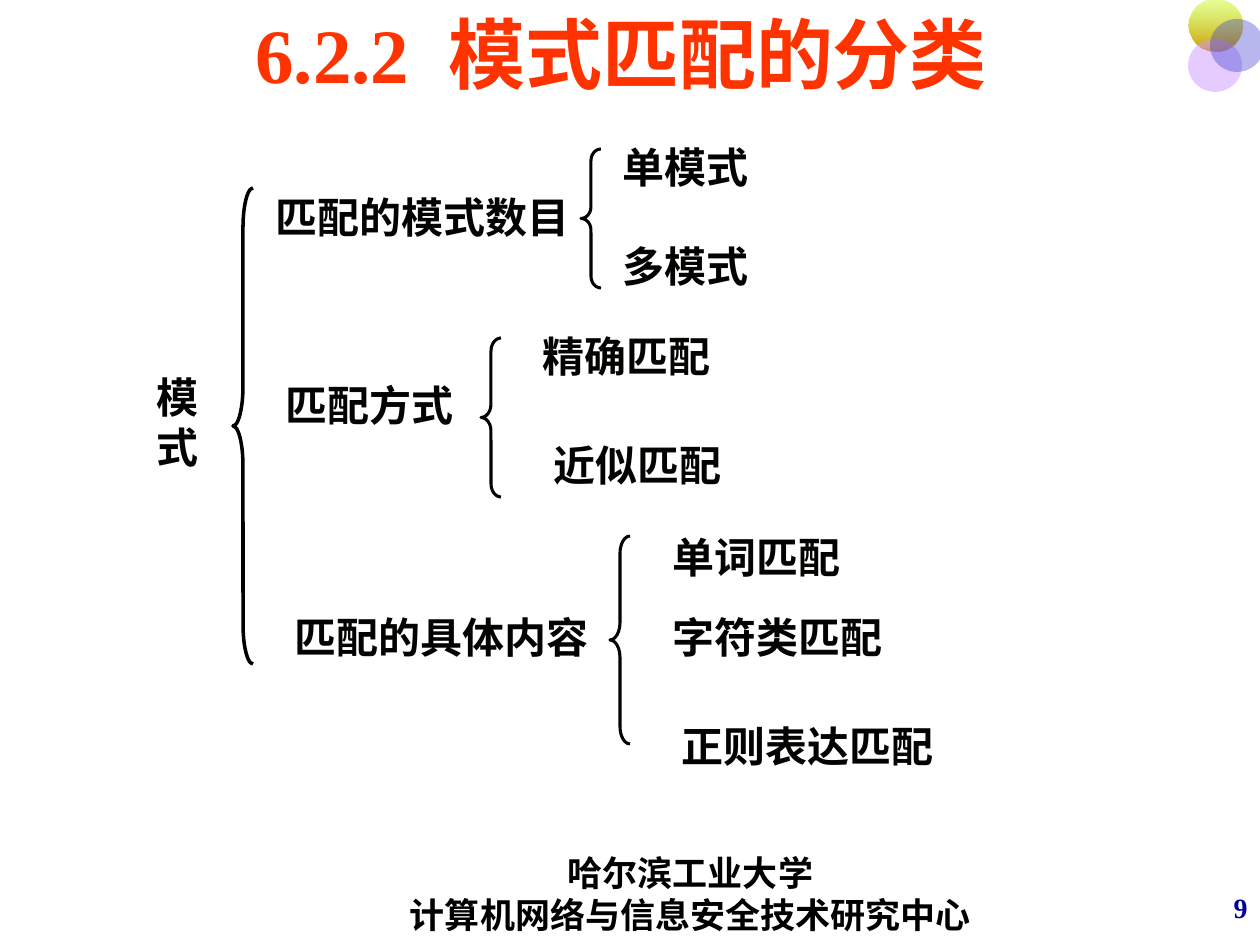
from lxml import etree
from pptx import Presentation
from pptx.dml.color import RGBColor
from pptx.enum.shapes import MSO_SHAPE
from pptx.enum.text import MSO_ANCHOR, PP_ALIGN
from pptx.oxml.ns import qn
from pptx.util import Emu, Pt

BRACE, OVAL = MSO_SHAPE.LEFT_BRACE, MSO_SHAPE.OVAL
TOP, MIDDLE = MSO_ANCHOR.TOP, MSO_ANCHOR.MIDDLE
LEFT, CENTER, RIGHT = PP_ALIGN.LEFT, PP_ALIGN.CENTER, PP_ALIGN.RIGHT

PX = 914400 / 126
COLORS = {
    "title": "FF3300", "text": "030301", "black": "000000", "number": "000099",
    "lime": "CCFF33", "gold": "CC9900", "lilac": "CC99FF", "blue": "3333CC",
}

# Content: positions and sizes in px
TITLE_NUMBER, TITLE_WORDS = "6.2.2", "模式匹配的分类"
TITLE_BOX = (64, 0, 1134, 106)
TITLE_GAP = 19  # width of one space in the title font
FOOTER = ["哈尔滨工业大学", "计算机网络与信息安全技术研究中心"]
FOOTER_BOX = (323, 849, 735, 89)
NUMBER_BOX = (1162, 876, 98, 63)

ROOT = ("模式", (144, 365, 69, 190))
ROOT_BRACE = (233, 188, 476)
LABEL_HEIGHT, LEAF_WIDTH, BRACE_WIDTH = 63, 297, 20
BRANCHES = [  # label (left, top, width), brace (left, top, height), leaves
    ("匹配的模式数目", (263, 185, 328), (581, 149, 139),
     [("单模式", 610, 135), ("多模式", 610, 234)]),
    ("匹配方式", (273, 373, 318), (481, 338, 159),
     [("精确匹配", 530, 324), ("近似匹配", 541, 433)]),
    ("匹配的具体内容", (282, 605, 358), (610, 536, 208),
     [("单词匹配", 660, 525), ("字符类匹配", 660, 605), ("正则表达匹配", 669, 714)]),
]

CIRCLE_SIZE = (54, 53)
CIRCLES = [  # left, top, colours, opacity of the first colour in percent
    (1188, -1, ("lime", "gold"), 50),
    (1188, 39, ("lilac",), 50),
    (1210, 19, ("blue",), 35),
]


def px(*values):
    return [Emu(round(value * PX)) for value in values]


def rgb(name):
    return RGBColor.from_string(COLORS[name])


def set_font(paragraph, size, name, color):
    font = paragraph.font
    font.size, font.name, font.bold = Pt(size), name, True
    font.color.rgb = rgb(color)


def add_text(slide, lines, box, size=24, name="Arial", color="text",
             align=LEFT, anchor=TOP, wrap=True):
    frame = slide.shapes.add_textbox(*px(*box)).text_frame
    frame.word_wrap, frame.vertical_anchor = wrap, anchor
    frame.text = "\n".join(lines)
    for paragraph in frame.paragraphs:
        paragraph.alignment = align
        set_font(paragraph, size, name, color)


def add_brace(slide, left, top, height, color="text", width=1.75):
    shape = slide.shapes.add_shape(BRACE, *px(left, top, BRACE_WIDTH, height))
    shape.adjustments[0] = height / 12 / BRACE_WIDTH
    shape.shadow.inherit = False
    shape.fill.background()
    shape.line.color.rgb = rgb(color)
    shape.line.width = Pt(width)


def add_circle(slide, left, top, colors, opacity):
    shape = slide.shapes.add_shape(OVAL, *px(left, top, *CIRCLE_SIZE))
    shape.shadow.inherit = False
    shape.line.fill.background()
    if len(colors) > 1:
        shape.fill.gradient()
        shape.fill.gradient_angle = 270
        for stop, color in zip(shape.fill.gradient_stops, colors):
            stop.color.rgb = rgb(color)
    else:
        shape.fill.solid()
        shape.fill.fore_color.rgb = rgb(colors[0])
    first_color = next(shape.element.spPr.iter(qn("a:srgbClr")))
    etree.SubElement(first_color, qn("a:alpha")).set("val", str(opacity * 1000))


def add_title(slide):
    title = slide.shapes.title
    title.left, title.top, title.width, title.height = px(*TITLE_BOX)
    frame = title.text_frame
    frame.vertical_anchor = MIDDLE
    frame.margin_right = frame.margin_left + px(TITLE_GAP)[0]
    paragraph = frame.paragraphs[0]
    paragraph.alignment = CENTER
    runs = [paragraph.add_run() for _ in range(3)]
    for run, text in zip(runs, (TITLE_NUMBER, " ", TITLE_WORDS)):
        run.text = text
    # Widen the single space by character spacing
    runs[1].font.size = Pt(44)
    runs[1].font._element.set("spc", "1100")
    set_font(paragraph, 44, "Times New Roman", "title")


def main():
    presentation = Presentation()
    presentation.slide_width, presentation.slide_height = px(1260, 945)
    slide = presentation.slides.add_slide(presentation.slide_layouts[5])

    # Page number, footer and corner ornament
    add_text(slide, ["9"], NUMBER_BOX, 16, "Times New Roman", "number", RIGHT, MIDDLE)
    add_text(slide, FOOTER, FOOTER_BOX, 20, "Times New Roman", "black",
             CENTER, MIDDLE, wrap=False)
    for circle in CIRCLES:
        add_circle(slide, *circle)

    add_title(slide)

    # Classification tree
    root_text, root_box = ROOT
    add_text(slide, [root_text], root_box)
    add_brace(slide, *ROOT_BRACE, color="black", width=2)
    for label, label_box, brace, leaves in BRANCHES:
        add_text(slide, [label], (*label_box, LABEL_HEIGHT))
        add_brace(slide, *brace)
        for leaf, left, top in leaves:
            add_text(slide, [leaf], (left, top, LEAF_WIDTH, LABEL_HEIGHT))

    presentation.save("out.pptx")


if __name__ == "__main__":
    main()
